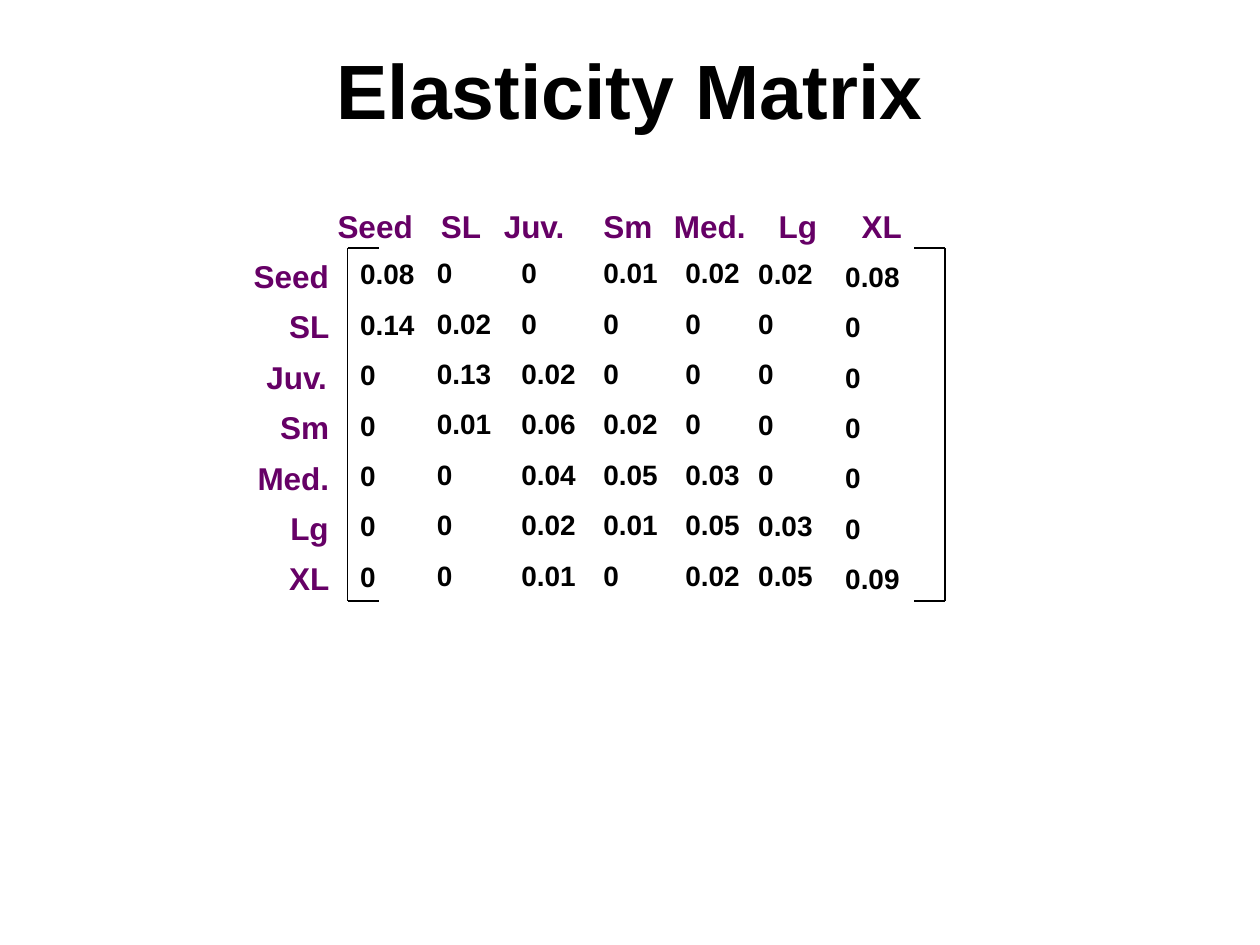
import pptx
import pptx.util
import pptx.dml.color
import pptx.enum.shapes
import pptx.enum.text
import pptx.oxml
from pptx.util import Pt

# Content
TITLE = "Elasticity Matrix"
STAGES = ["Seed", "SL", "Juv.", "Sm", "Med.", "Lg", "XL"]
ELASTICITIES = [
    ["0.08", "0", "0", "0.01", "0.02", "0.02", "0.08"],
    ["0.14", "0.02", "0", "0", "0", "0", "0"],
    ["0", "0.13", "0.02", "0", "0", "0", "0"],
    ["0", "0.01", "0.06", "0.02", "0", "0", "0"],
    ["0", "0", "0.04", "0.05", "0.03", "0", "0"],
    ["0", "0", "0.02", "0.01", "0.05", "0.03", "0"],
    ["0", "0", "0.01", "0", "0.02", "0.05", "0.09"],
]

THEME = {
    "font": "Arial",
    "ink": pptx.dml.color.RGBColor(0x00, 0x00, 0x00),
    "stage": pptx.dml.color.RGBColor(0x66, 0x00, 0x66),
    "title_size": 44,
    "stage_size": 18,
    "value_size": 16,
    "line": 0.75,
}

# Layout in points
STAGE_WIDTHS = [57.6, 37.4, 50.4, 42.5, 55.4, 36.7, 37.4]
HEADER_LEFTS = [185.8, 244.8, 280.8, 337.7, 378, 437.8, 485.3]
HEADER_TOP = 114.5
COLUMN_LEFTS = [198.7, 242.6, 290.9, 337.7, 384.5, 426.2, 475.9]
COLUMN_TOPS = [143.3, 142.6, 142.6, 142.6, 142.6, 142.8, 144.7]
ROW_LABEL_RIGHT, ROW_LABEL_TOP = 195.5, 143.3
ROW_PITCH = 28.8
LABEL_HEIGHT, VALUE_HEIGHT = 29, 26.6
BRACKET_TOP, BRACKET_BOTTOM = 141.8, 343.4
BRACKETS = [(198.7, 18), (540, -18)]  # upright position, arm length


def style(paragraph, size, color):
    for run in paragraph.runs:
        run.font.name = THEME["font"]
        run.font.size = Pt(size)
        run.font.bold = True
        run.font.color.rgb = color


def add_label(slide, text, left, top, width, height, size, color):
    box = slide.shapes.add_textbox(Pt(left), Pt(top), Pt(width), Pt(height))
    frame = box.text_frame
    frame.text = text
    frame.word_wrap = False
    frame.auto_size = pptx.enum.text.MSO_AUTO_SIZE.SHAPE_TO_FIT_TEXT
    style(frame.paragraphs[0], size, color)


def add_stage(slide, text, left, top, width):
    add_label(slide, text, left, top, width, LABEL_HEIGHT,
              THEME["stage_size"], THEME["stage"])


def add_bracket(slide, x, arm):
    group = slide.shapes.add_group_shape()
    for x1, y1, x2, y2 in [
        (x, BRACKET_TOP, x, BRACKET_BOTTOM),
        (x, BRACKET_BOTTOM, x + arm, BRACKET_BOTTOM),
        (x, BRACKET_TOP, x + arm, BRACKET_TOP),
    ]:
        edge = group.shapes.add_connector(
            pptx.enum.shapes.MSO_CONNECTOR.STRAIGHT, Pt(x1), Pt(y1), Pt(x2), Pt(y2))
        edge.line.color.rgb = THEME["ink"]
        edge.line.width = Pt(THEME["line"])
        edge._element.spPr.append(pptx.oxml.parse_xml(
            '<a:effectLst xmlns:a="http://schemas.openxmlformats.org/drawingml/2006/main"/>'))


def main():
    deck = pptx.Presentation()
    deck.slide_width, deck.slide_height = Pt(720), Pt(540)
    slide = deck.slides.add_slide(deck.slide_layouts[5])

    # Title
    title = slide.shapes.title
    title.left, title.top, title.width, title.height = Pt(36), Pt(5.8), Pt(648), Pt(90)
    title.text_frame.text = TITLE
    title.text_frame.vertical_anchor = pptx.enum.text.MSO_ANCHOR.MIDDLE
    title.text_frame.paragraphs[0].alignment = pptx.enum.text.PP_ALIGN.CENTER
    style(title.text_frame.paragraphs[0], THEME["title_size"], THEME["ink"])

    # Matrix brackets
    for x, arm in BRACKETS:
        add_bracket(slide, x, arm)

    # Stage names across the top and down the side
    for i, (stage, width) in enumerate(zip(STAGES, STAGE_WIDTHS)):
        add_stage(slide, stage, HEADER_LEFTS[i], HEADER_TOP, width)
        add_stage(slide, stage, ROW_LABEL_RIGHT - width,
                  ROW_LABEL_TOP + i * ROW_PITCH, width)

    # Matrix values
    for i, row in enumerate(ELASTICITIES):
        for value, left, top in zip(row, COLUMN_LEFTS, COLUMN_TOPS):
            width = 23 if value == "0" else 45.5
            add_label(slide, value, left, top + i * ROW_PITCH, width, VALUE_HEIGHT,
                      THEME["value_size"], THEME["ink"])

    deck.save("out.pptx")


if __name__ == "__main__":
    main()
